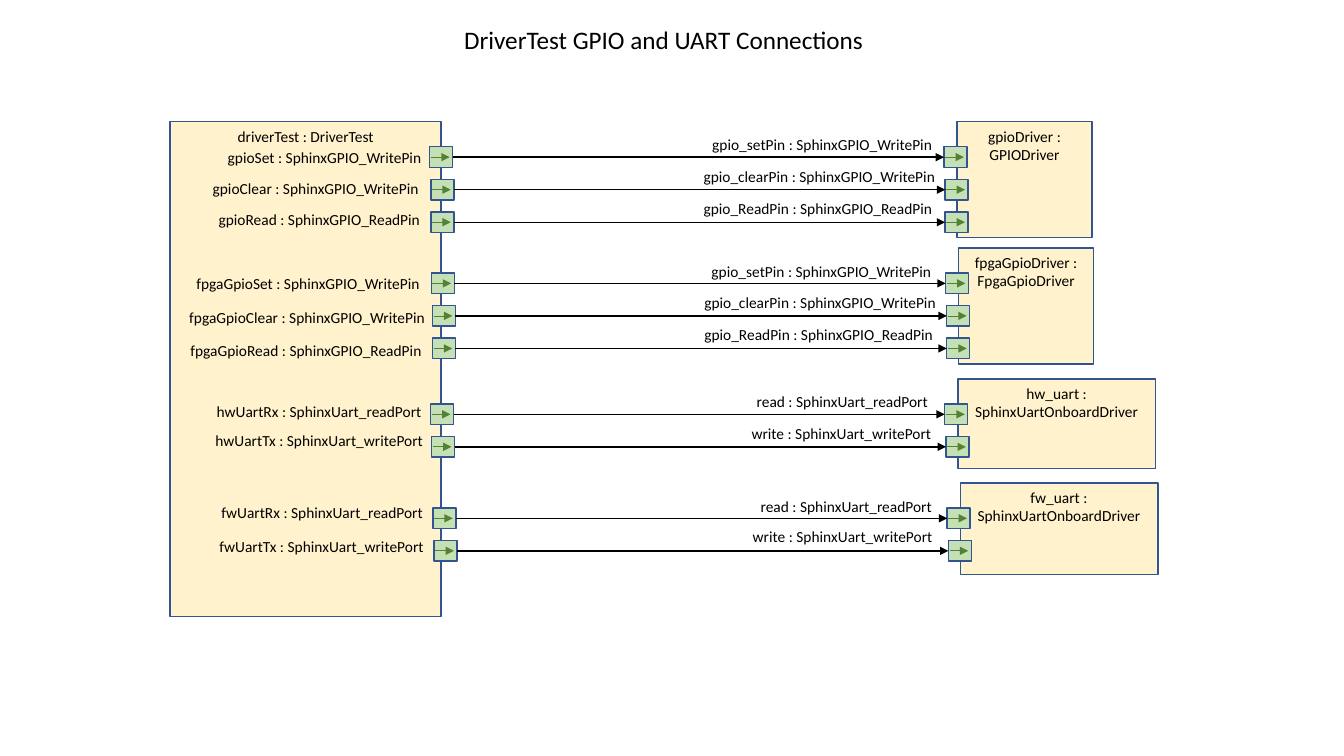
from lxml import etree
from pptx import Presentation
from pptx.dml.color import RGBColor
from pptx.enum.shapes import MSO_CONNECTOR, MSO_SHAPE
from pptx.enum.text import MSO_ANCHOR, MSO_AUTO_SIZE, PP_ALIGN
from pptx.oxml.ns import qn
from pptx.util import Cm, Pt

RECT, STRAIGHT = MSO_SHAPE.RECTANGLE, MSO_CONNECTOR.STRAIGHT
LEFT, CENTER, TOP = PP_ALIGN.LEFT, PP_ALIGN.CENTER, MSO_ANCHOR.TOP
RIGHT_SITE, LEFT_SITE = 3, 1

# Content; lengths in cm
TITLE = ("DriverTest GPIO and UART Connections", 11.38, 0.48, 10.69)
TESTER = ("driverTest : DriverTest", 4.29, 3.07, 6.83, 12.47)

# Each driver: name, top, width, height, x of first tester port, connections.
# Each connection: tester label and driver label as (text, left, top, width).
DRIVERS = [
    ("gpioDriver : GPIODriver", 3.07, 3.4, 2.92, 10.83, [
        (("gpioSet : SphinxGPIO_WritePin", 5.49, 3.61, 5.44),
         ("gpio_setPin : SphinxGPIO_WritePin", 17.7, 3.28, 6.22)),
        (("gpioClear : SphinxGPIO_WritePin", 5.11, 4.39, 5.87),
         ("gpio_clearPin : SphinxGPIO_WritePin", 17.48, 4.09, 6.4)),
        (("gpioRead : SphinxGPIO_ReadPin", 5.26, 5.18, 5.82),
         ("gpio_ReadPin : SphinxGPIO_ReadPin", 17.48, 4.9, 6.53)),
    ]),
    ("fpgaGpioDriver : FpgaGpioDriver", 6.25, 3.4, 2.92, 10.87, [
        (("fpgaGpioSet : SphinxGPIO_WritePin", 4.7, 6.78, 6.38),
         ("gpio_setPin : SphinxGPIO_WritePin", 17.68, 6.48, 6.22)),
        (("fpgaGpioClear : SphinxGPIO_WritePin", 4.52, 7.65, 6.68),
         ("gpio_clearPin : SphinxGPIO_WritePin", 17.5, 7.26, 6.4)),
        (("fpgaGpioRead : SphinxGPIO_ReadPin", 4.55, 8.46, 6.4),
         ("gpio_ReadPin : SphinxGPIO_ReadPin", 17.5, 8.08, 6.53)),
    ]),
    ("hw_uart : SphinxUartOnboardDriver", 9.55, 4.98, 2.26, 10.85, [
        (("hwUartRx : SphinxUart_readPort", 5.21, 10.01, 5.79),
         ("read : SphinxUart_readPort", 18.82, 9.75, 4.88)),
        (("hwUartTx : SphinxUart_writePort", 5.18, 10.74, 5.79),
         ("write : SphinxUart_writePort", 18.69, 10.57, 5.08)),
    ]),
    ("fw_uart : SphinxUartOnboardDriver", 12.17, 4.98, 2.31, 10.91, [
        (("fwUartRx : SphinxUart_readPort", 5.33, 12.55, 5.64),
         ("read : SphinxUart_readPort", 18.92, 12.4, 4.88)),
        (("fwUartTx : SphinxUart_writePort", 5.28, 13.41, 5.79),
         ("write : SphinxUart_writePort", 18.72, 13.16, 5.08)),
    ]),
]

# Layout rules
PORT_W, PORT_H = 0.58, 0.52
PORT_SPAN = 12.96      # from a tester port to its driver port
PORT_OVERHANG = 0.33   # driver port left of its box
FIRST_PORT, PORT_PITCH = 0.89, 0.82
LATER_PORT_SHIFT = 0.03

BOX_FILL, PORT_FILL, BORDER = "FFF2CC", "C5E0B4", "325491"
ARROW, BLACK = "548235", "000000"

prs = Presentation()
prs.slide_width, prs.slide_height = Cm(33.87), Cm(19.05)
slide = prs.slides.add_slide(prs.slide_layouts[6])
shapes = slide.shapes


def color(hex_value):
    return RGBColor.from_string(hex_value)


def write(frame, text, size, align):
    frame.vertical_anchor = TOP
    paragraph = frame.paragraphs[0]
    paragraph.alignment = align
    run = paragraph.add_run()
    run.text = text
    run.font.size, run.font.name = Pt(size), "Calibri"
    run.font.color.rgb = color(BLACK)


def rect(left, top, width, height, fill):
    shape = shapes.add_shape(RECT, Cm(left), Cm(top), Cm(width), Cm(height))
    shape.shadow.inherit = False
    shape.fill.solid()
    shape.fill.fore_color.rgb = color(fill)
    shape.line.color.rgb = color(BORDER)
    shape.line.width = Pt(1)
    return shape


def component(name, left, top, width, height):
    frame = rect(left, top, width, height, BOX_FILL).text_frame
    frame.word_wrap = True
    write(frame, name, 11, CENTER)


def label(text, left, top, width, height=0.73, size=11, align=LEFT):
    frame = shapes.add_textbox(Cm(left), Cm(top), Cm(width), Cm(height)).text_frame
    frame.word_wrap = False
    frame.auto_size = MSO_AUTO_SIZE.SHAPE_TO_FIT_TEXT
    write(frame, text, size, align)


def arrow(start, end, y, line_color, width):
    connector = shapes.add_connector(STRAIGHT, Cm(start), Cm(y), Cm(end), Cm(y))
    connector.line.color.rgb = color(line_color)
    connector.line.width = Pt(width)
    etree.SubElement(connector.line._get_or_add_ln(), qn("a:tailEnd"), type="triangle")
    etree.SubElement(connector._element.spPr, qn("a:effectLst"))
    return connector


def port(left, y):
    shape = rect(left, y - PORT_H / 2, PORT_W, PORT_H, PORT_FILL)
    arrow(left + 0.03, left + 0.5, y, ARROW, 0.5)
    return shape


# Title and tester
label(*TITLE, height=1.03, size=18, align=CENTER)
component(*TESTER)

# Drivers with their ports, wires and labels
for name, top, width, height, port_x, connections in DRIVERS:
    component(name, port_x + PORT_SPAN + PORT_OVERHANG, top, width, height)
    for row, (tester_label, driver_label) in enumerate(connections):
        x = port_x + (LATER_PORT_SHIFT if row else 0)
        y = top + FIRST_PORT + row * PORT_PITCH
        tester_port = port(x, y)
        driver_port = port(x + PORT_SPAN, y)
        wire = arrow(x + PORT_W, x + PORT_SPAN, y, BLACK, 1)
        wire.begin_connect(tester_port, RIGHT_SITE)
        wire.end_connect(driver_port, LEFT_SITE)
        label(*tester_label)
        label(*driver_label)

prs.save("out.pptx")
